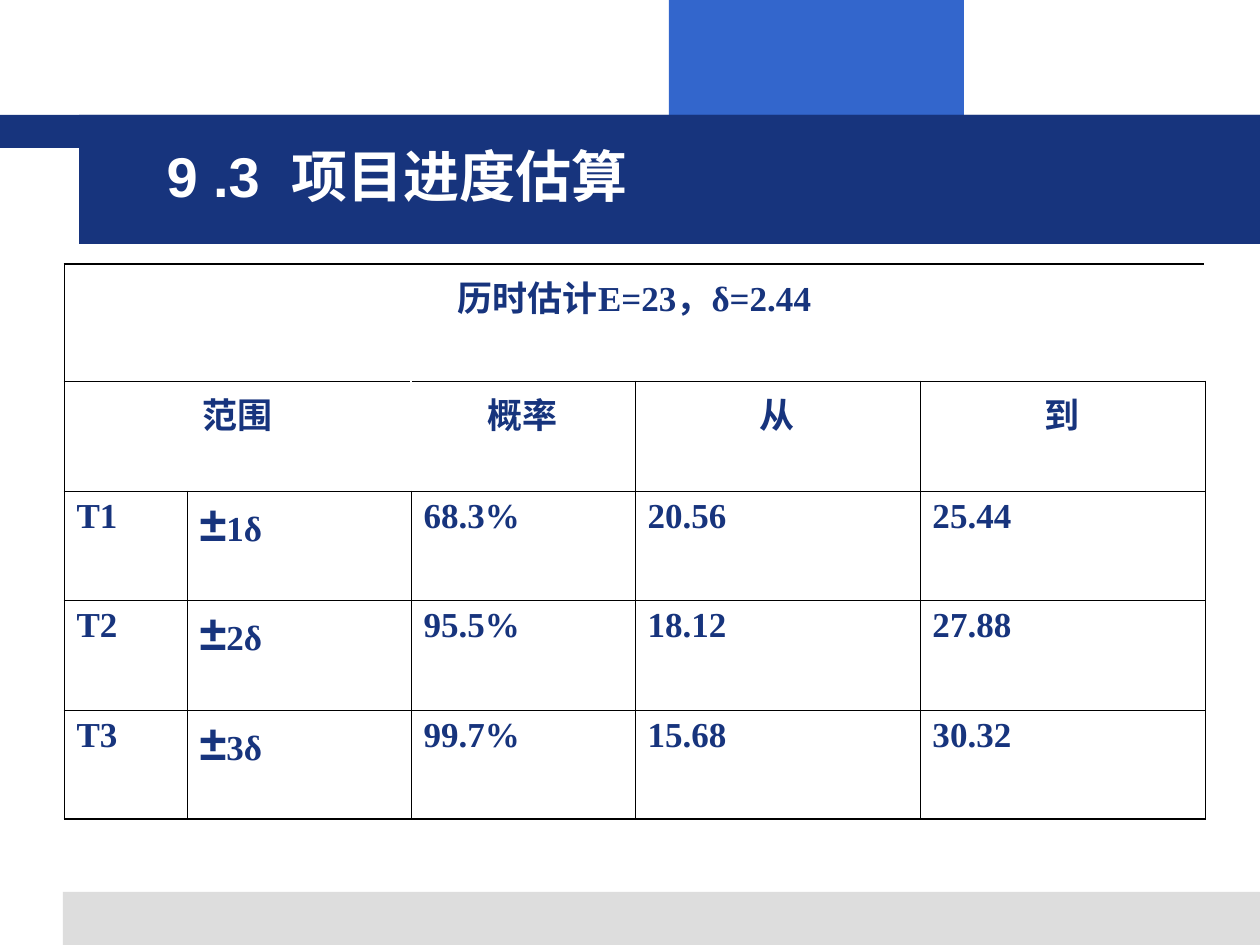
from typing import NamedTuple

from lxml.etree import SubElement
from pptx import Presentation
from pptx.dml.color import RGBColor
from pptx.enum.shapes import MSO_SHAPE
from pptx.enum.text import MSO_ANCHOR, MSO_AUTO_SIZE, PP_ALIGN
from pptx.oxml.ns import qn
from pptx.util import Pt

PX = 914400 // 126
HEX = {"navy": "17347D", "blue": "3366CC", "grey": "DDDDDD",
       "white": "FFFFFF", "black": "000000"}


class Bar(NamedTuple):
    left: int
    top: int
    width: int
    height: int
    color: str


class Row(NamedTuple):
    name: str
    range: str
    chance: str
    start: str
    end: str


BARS = [
    Bar(669, 0, 295, 116, "blue"),
    Bar(63, 892, 1197, 53, "grey"),
    Bar(0, 115, 1260, 33, "navy"),
    Bar(79, 115, 1181, 129, "navy"),
]
ROWS = [
    Row("历时估计E=23，δ=2.44", "", "", "", ""),
    Row("范围", "", "概率", "从", "到"),
    Row("T1", "±1δ", "68.3%", "20.56", "25.44"),
    Row("T2", "±2δ", "95.5%", "18.12", "27.88"),
    Row("T3", "±3δ", "99.7%", "15.68", "30.32"),
]
HEAD = 2
WIDTHS = [123, 224, 224, 285, 285]
HEIGHTS = [117, 110, 109, 110, 109]


def rgb(name: str) -> RGBColor:
    return RGBColor.from_string(HEX[name])


def style(font, size: int, face: str, color: str) -> None:
    font.size, font.name, font.bold = Pt(size), face, True
    font.color.rgb = rgb(color)


def place(shape, left: int, top: int, width: int, height: int) -> None:
    shape.left, shape.top = left * PX, top * PX
    shape.width, shape.height = width * PX, height * PX


def draw_bar(slide, bar: Bar) -> None:
    box = [n * PX for n in bar[:4]]
    shape = slide.shapes.add_shape(MSO_SHAPE.RECTANGLE, *box)
    shape.shadow.inherit = False
    shape.fill.solid()
    shape.fill.fore_color.rgb = rgb(bar.color)
    shape.line.fill.background()


def draw_title(slide, text: str) -> None:
    title = slide.shapes.title
    place(title, 154, 135, 953, 81)
    slide.shapes._spTree.append(title._element)  # in front of the bars
    frame = title.text_frame
    frame.text = text
    frame.word_wrap = True
    frame.auto_size = MSO_AUTO_SIZE.SHAPE_TO_FIT_TEXT
    frame.vertical_anchor = MSO_ANCHOR.MIDDLE
    para = frame.paragraphs[0]
    para.alignment = PP_ALIGN.LEFT
    style(para.font, 32, "Arial", "white")


def fill_cell(cell, text: str, center: bool) -> None:
    cell.fill.background()
    para = cell.text_frame.paragraphs[0]
    para.alignment = PP_ALIGN.CENTER if center else PP_ALIGN.LEFT
    style(para.font, 20, "Times New Roman", "navy")
    # The plus-minus sign is larger than the figure after it
    parts = ["±", text[1:]] if text.startswith("±") else [text]
    for part in parts:
        run = para.add_run()
        run.text = part
        style(run.font, 20, "Times New Roman", "navy")
        if part == "±":
            style(run.font, 28, "Arial", "navy")


def edge_cell(cell, edges: dict[str, float]) -> None:
    props = cell._tc.get_or_add_tcPr()
    for spot, (side, width) in enumerate(edges.items()):
        line = SubElement(props, qn(f"a:ln{side}"), w=str(int(Pt(width))))
        fill = SubElement(line, qn("a:solidFill"))
        SubElement(fill, qn("a:srgbClr"), val=HEX["black"])
        props.insert(spot, line)  # borders come before the fill


def draw_table(slide) -> None:
    frame = slide.shapes.add_table(len(ROWS), len(WIDTHS), 64 * PX, 264 * PX,
                                   sum(WIDTHS) * PX, sum(HEIGHTS) * PX)
    table = frame.table
    table.first_row = table.horz_banding = False
    for col, width in zip(table.columns, WIDTHS):
        col.width = width * PX
    for row, height in zip(table.rows, HEIGHTS):
        row.height = height * PX
    table.cell(0, 0).merge(table.cell(0, 4))
    table.cell(1, 0).merge(table.cell(1, 1))

    last_row, last_col = len(ROWS) - 1, len(WIDTHS) - 1
    for r, row in enumerate(ROWS):
        for c, text in enumerate(row):
            cell = table.cell(r, c)
            if cell.is_spanned:
                cell.fill.background()
            else:
                fill_cell(cell, text, r < HEAD)
            edges = {
                "L": 0.34 if c == 0 else 0.45,
                "R": 0.34 if c == last_col else 0.45,
                "T": 0.96 if r == 0 else 0.45,
                "B": 0.96 if r == last_row else 0.45,
            }
            # No lines inside a merged cell
            if cell.is_spanned:
                del edges["L"]
            if c < last_col and table.cell(r, c + 1).is_spanned:
                del edges["R"]
            edge_cell(cell, edges)


def main() -> None:
    deck = Presentation()
    deck.slide_width, deck.slide_height = 1260 * PX, 945 * PX
    slide = deck.slides.add_slide(deck.slide_layouts[5])
    # Background bars
    for bar in BARS:
        draw_bar(slide, bar)
    # Title and estimate table
    draw_title(slide, "9 .3  项目进度估算")
    draw_table(slide)
    deck.save("out.pptx")


if __name__ == "__main__":
    main()
